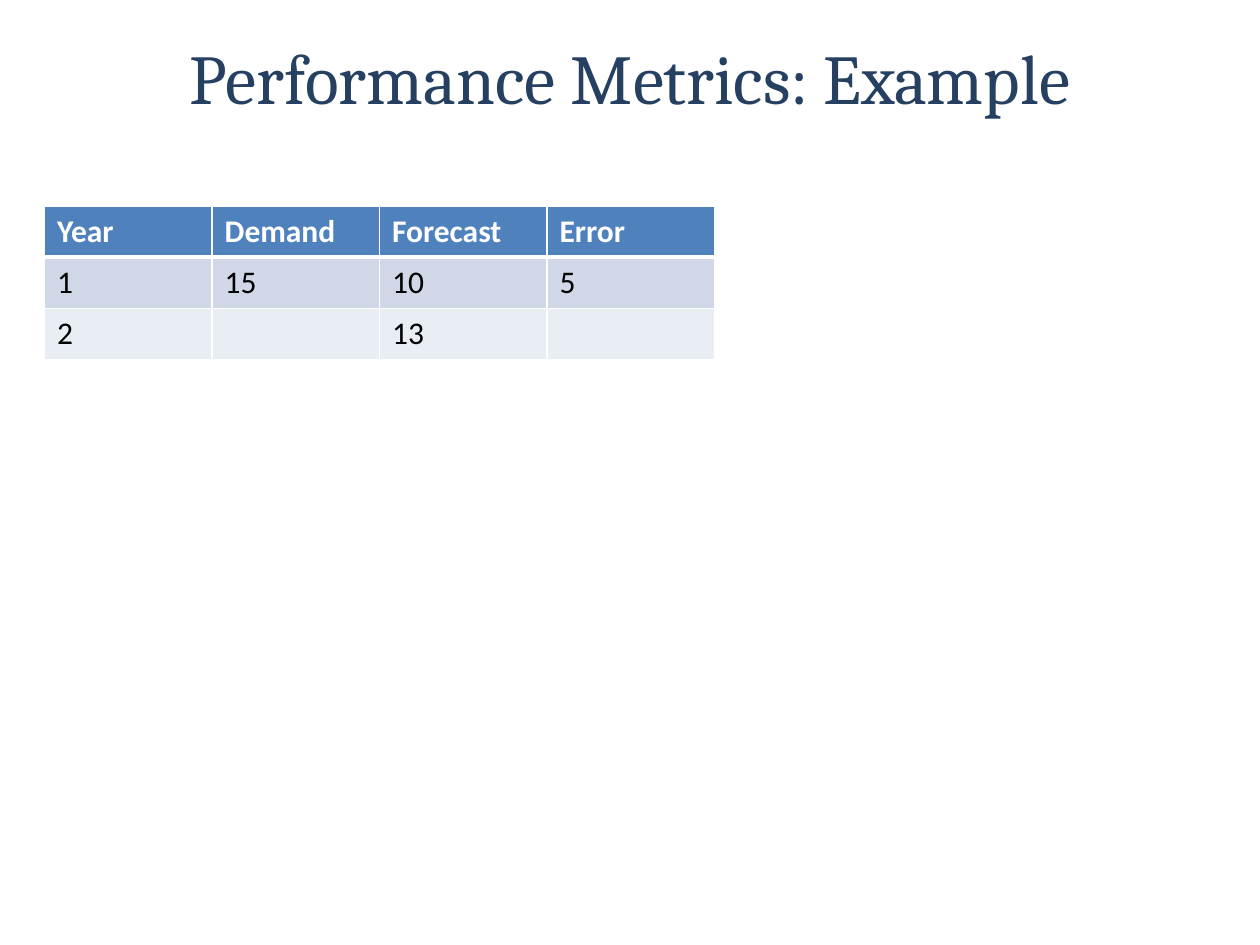
from lxml import etree
from pptx import Presentation
from pptx import util as u
from pptx.dml.color import RGBColor
from pptx.enum import text
from pptx.oxml import ns

NAVY = RGBColor(0x25, 0x40, 0x61)
BLUE = RGBColor(0x4F, 0x81, 0xBD)
PALE_BLUE = RGBColor(0xD0, 0xD8, 0xE8)
PALER_BLUE = RGBColor(0xE9, 0xED, 0xF4)
WHITE = RGBColor(0xFF, 0xFF, 0xFF)
BLACK = RGBColor(0, 0, 0)

METRICS = [
    ("Year", "Demand", "Forecast", "Error"),
    ("1", "15", "10", "5"),
    ("2", "", "13", ""),
]
ROW_FILLS = [BLUE, PALE_BLUE, PALER_BLUE]


def style_run(run, font_name, size, color, bold=False):
    """Set the typeface, size, colour and weight of a run."""
    run.font.name = font_name
    run.font.size = u.Pt(size)
    run.font.color.rgb = color
    run.font.bold = bold


def set_border(cell, side, points):
    """Draw a white line on one side of a cell, ahead of its fill."""
    properties = cell._tc.get_or_add_tcPr()
    line = etree.Element(ns.qn(f"a:ln{side}"), w=str(u.Pt(points)))
    fill = etree.SubElement(line, ns.qn("a:solidFill"))
    etree.SubElement(fill, ns.qn("a:srgbClr"), val=str(WHITE))
    position = sum(child.tag.split("}")[1].startswith("ln") for child in properties)
    properties.insert(position, line)


def add_title(slide, left, top, width, height, wording):
    """Place the centred heading in its box."""
    frame = slide.shapes.add_textbox(left, top, width, height).text_frame
    frame.word_wrap = True
    frame.vertical_anchor = text.MSO_ANCHOR.MIDDLE
    frame.text = wording
    heading = frame.paragraphs[0]
    heading.alignment = text.PP_ALIGN.CENTER
    style_run(heading.runs[0], "Cambria", 40, NAVY)


def add_metrics_table(slide, left, top, width, height):
    """Place the demand and forecast table with equal columns and rows."""
    table = slide.shapes.add_table(
        len(METRICS), len(METRICS[0]), left, top, width, height
    ).table
    for row, (values, fill) in enumerate(zip(METRICS, ROW_FILLS)):
        header = row == 0
        borders = {"L": 1, "R": 1, "T": 3 if row == 1 else 1, "B": 3 if header else 1}
        for column, value in enumerate(values):
            cell = table.cell(row, column)
            cell.fill.solid()
            cell.fill.fore_color.rgb = fill
            for side, points in borders.items():
                set_border(cell, side, points)
            cell.text_frame.text = value
            for run in cell.text_frame.paragraphs[0].runs:
                style_run(run, "Calibri", 18, WHITE if header else BLACK, header)


def main():
    """Build and save the slide."""
    presentation = Presentation()
    presentation.slide_width = u.Cm(25.4)
    presentation.slide_height = u.Cm(19.05)
    slide = presentation.slides.add_slide(presentation.slide_layouts[6])
    add_title(slide, u.Cm(1.27), u.Cm(0.76), u.Cm(22.86), u.Cm(1.55),
              "Performance Metrics: Example")
    add_metrics_table(slide, u.Cm(0.9), u.Cm(4.15), u.Cm(13.5), u.Cm(3.1))
    presentation.save("out.pptx")


if __name__ == "__main__":
    main()
